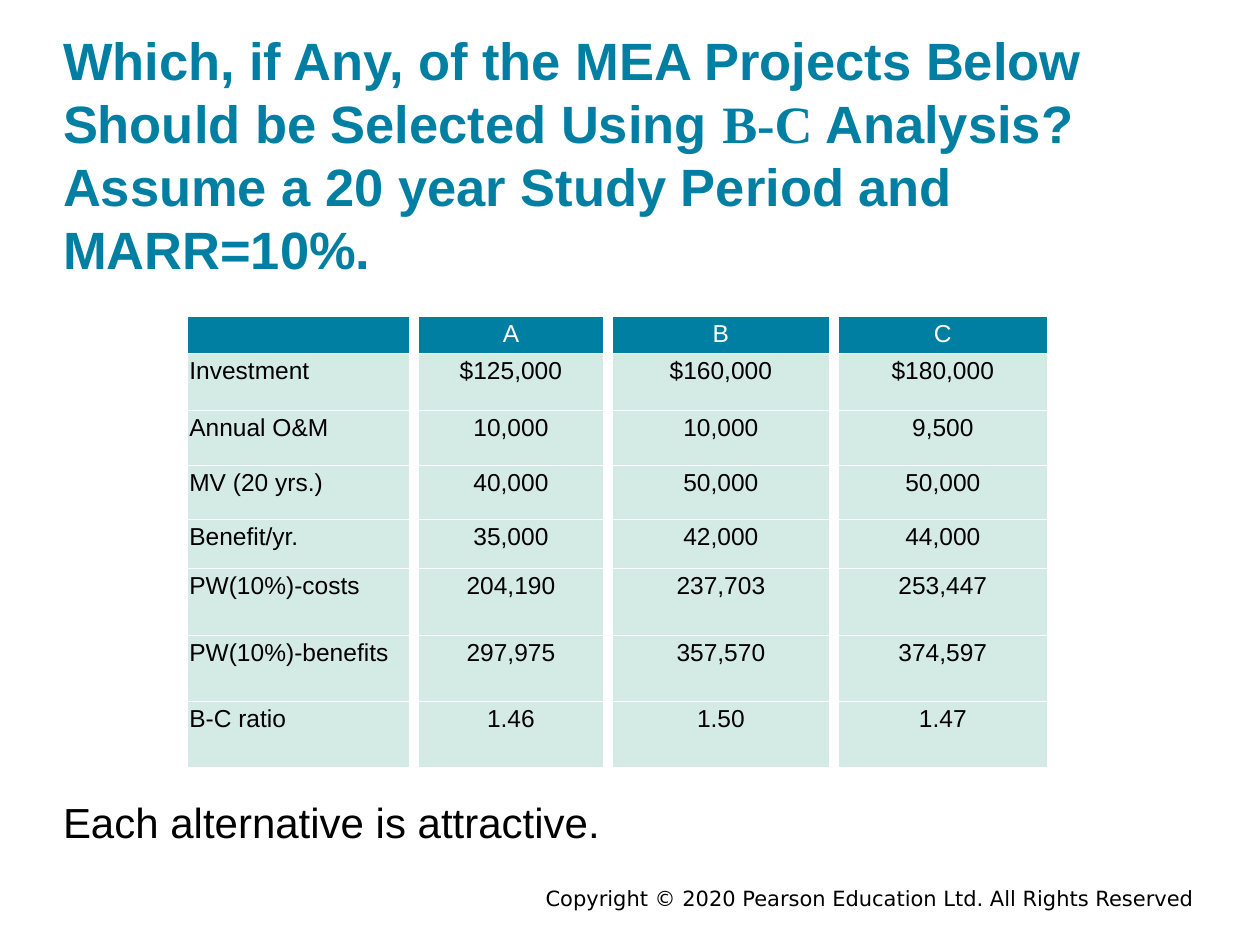
from dataclasses import dataclass
from typing import Optional

from lxml.etree import SubElement
from pptx import Presentation
from pptx.dml.color import RGBColor
from pptx.enum.text import MSO_ANCHOR, MSO_AUTO_SIZE, PP_ALIGN
from pptx.oxml.ns import qn
from pptx.util import Emu, Inches, Pt

TEAL = RGBColor(0x00, 0x7F, 0xA3)
MINT = RGBColor(0xD4, 0xEA, 0xE4)
WHITE = RGBColor(0xFF, 0xFF, 0xFF)
BLACK = RGBColor(0x00, 0x00, 0x00)

EMU_PER_PX = 914400 / 126


@dataclass(frozen=True)
class Box:
    left: int
    top: int
    width: int
    height: int


@dataclass(frozen=True)
class Style:
    size: int
    color: RGBColor
    font: str = "Arial"
    bold: bool = False


@dataclass(frozen=True)
class ProjectRow:
    label: str
    values: tuple[str, str, str]
    height: int


TITLE_BOX = Box(63, 9, 1131, 271)
TABLE_BOX = Box(183, 316, 869, 450)
BODY_BOX = Box(63, 795, 1131, 54)
FOOTER_BOX = Box(358, 886, 836, 38)

TITLE_STYLE = Style(30, TEAL, bold=True)
TITLE_SERIF = Style(30, TEAL, "Times New Roman", True)
HEADER_STYLE = Style(14, WHITE)
CELL_STYLE = Style(14, BLACK)
BODY_STYLE = Style(24, BLACK)
FOOTER_STYLE = Style(12, BLACK, "DejaVu Sans")

COLUMN_WIDTHS = (231, 194, 226, 218)
ROWS = (
    ProjectRow("", ("A", "B", "C"), 36),
    ProjectRow("Investment", ("$125,000", "$160,000", "$180,000"), 57),
    ProjectRow("Annual O&M", ("10,000", "10,000", "9,500"), 55),
    ProjectRow("MV (20 yrs.)", ("40,000", "50,000", "50,000"), 54),
    ProjectRow("Benefit/yr.", ("35,000", "42,000", "44,000"), 49),
    ProjectRow("PW(10%)-costs", ("204,190", "237,703", "253,447"), 67),
    ProjectRow("PW(10%)-benefits", ("297,975", "357,570", "374,597"), 66),
    ProjectRow("B-C ratio", ("1.46", "1.50", "1.47"), 66),
)
BORDERS = {"a:lnL": 6, "a:lnR": 6, "a:lnT": 0.75, "a:lnB": 0.75}


def px(n: int) -> Emu:
    return Emu(round(n * EMU_PER_PX))


def place(sp, box: Box) -> None:
    sp.left, sp.top = px(box.left), px(box.top)
    sp.width, sp.height = px(box.width), px(box.height)


def style_run(r, style: Style) -> None:
    r.font.size = Pt(style.size)
    r.font.name = style.font
    r.font.bold = style.bold
    r.font.color.rgb = style.color


def set_frame(tf, anchor: MSO_ANCHOR) -> None:
    """Wrap the text, keep its size and remove the insets."""
    tf.word_wrap = True
    tf.auto_size = MSO_AUTO_SIZE.NONE
    tf.vertical_anchor = anchor
    tf.margin_left = tf.margin_right = tf.margin_top = tf.margin_bottom = 0


def write(tf, runs: list[tuple[str, Style]], align: PP_ALIGN = PP_ALIGN.LEFT):
    p = tf.paragraphs[0]
    p.alignment = align
    p.space_before = Pt(0)
    for text, style in runs:
        r = p.add_run()
        r.text = text
        style_run(r, style)
    return p


def fill_cell(cell, text: str, style: Style, fill: RGBColor,
              align: Optional[PP_ALIGN]) -> None:
    cell.margin_left = cell.margin_right = Inches(0.05)
    cell.margin_top = cell.margin_bottom = Inches(0.03)
    tc_pr = cell._tc.get_or_add_tcPr()
    for tag, width in BORDERS.items():
        ln = SubElement(tc_pr, qn(tag), w=str(Pt(width)))
        solid = SubElement(ln, qn("a:solidFill"))
        SubElement(solid, qn("a:srgbClr"), val=str(WHITE))
    cell.fill.solid()
    cell.fill.fore_color.rgb = fill
    if text:
        write(cell.text_frame, [(text, style)], align)
    else:
        p = cell.text_frame.paragraphs[0]
        SubElement(p._p, qn("a:endParaRPr"), sz=str(style.size * 100))


def add_project_table(s) -> None:
    b = TABLE_BOX
    table = s.shapes.add_table(len(ROWS), len(COLUMN_WIDTHS), px(b.left),
                               px(b.top), px(b.width), px(b.height)).table
    table.horz_banding = False
    for column, width in zip(table.columns, COLUMN_WIDTHS):
        column.width = px(width)
    for i, row in enumerate(ROWS):
        table.rows[i].height = px(row.height)
        style, fill = (CELL_STYLE, MINT) if i else (HEADER_STYLE, TEAL)
        for j, text in enumerate((row.label, *row.values)):
            align = PP_ALIGN.CENTER if j else PP_ALIGN.LEFT
            fill_cell(table.cell(i, j), text, style, fill, align)


def main() -> None:
    prs = Presentation()
    prs.slide_width, prs.slide_height = px(1260), px(945)
    s = prs.slides.add_slide(prs.slide_layouts[1])

    title = s.shapes.title
    place(title, TITLE_BOX)
    set_frame(title.text_frame, MSO_ANCHOR.BOTTOM)
    p = write(title.text_frame, [
        ("Which, if Any, of the MEA Projects Below Should be Selected Using ",
         TITLE_STYLE),
        ("B-C", TITLE_SERIF),
        (" Analysis? Assume a 20 year Study Period and MARR=10%.", TITLE_STYLE),
    ])
    p.line_spacing = Pt(36)

    add_project_table(s)

    body = s.placeholders[1]
    place(body, BODY_BOX)
    set_frame(body.text_frame, MSO_ANCHOR.MIDDLE)
    p = write(body.text_frame, [("Each alternative is attractive.", BODY_STYLE)])
    p_pr = p._p.get_or_add_pPr()
    p_pr.set("marL", "0")
    p_pr.set("indent", "0")
    SubElement(p_pr, qn("a:buNone"))

    b = FOOTER_BOX
    footer = s.shapes.add_textbox(px(b.left), px(b.top), px(b.width), px(b.height))
    set_frame(footer.text_frame, MSO_ANCHOR.TOP)
    write(footer.text_frame,
          [("Copyright © 2020 Pearson Education Ltd. All Rights Reserved",
            FOOTER_STYLE)], PP_ALIGN.RIGHT)

    prs.save("out.pptx")


if __name__ == "__main__":
    main()
